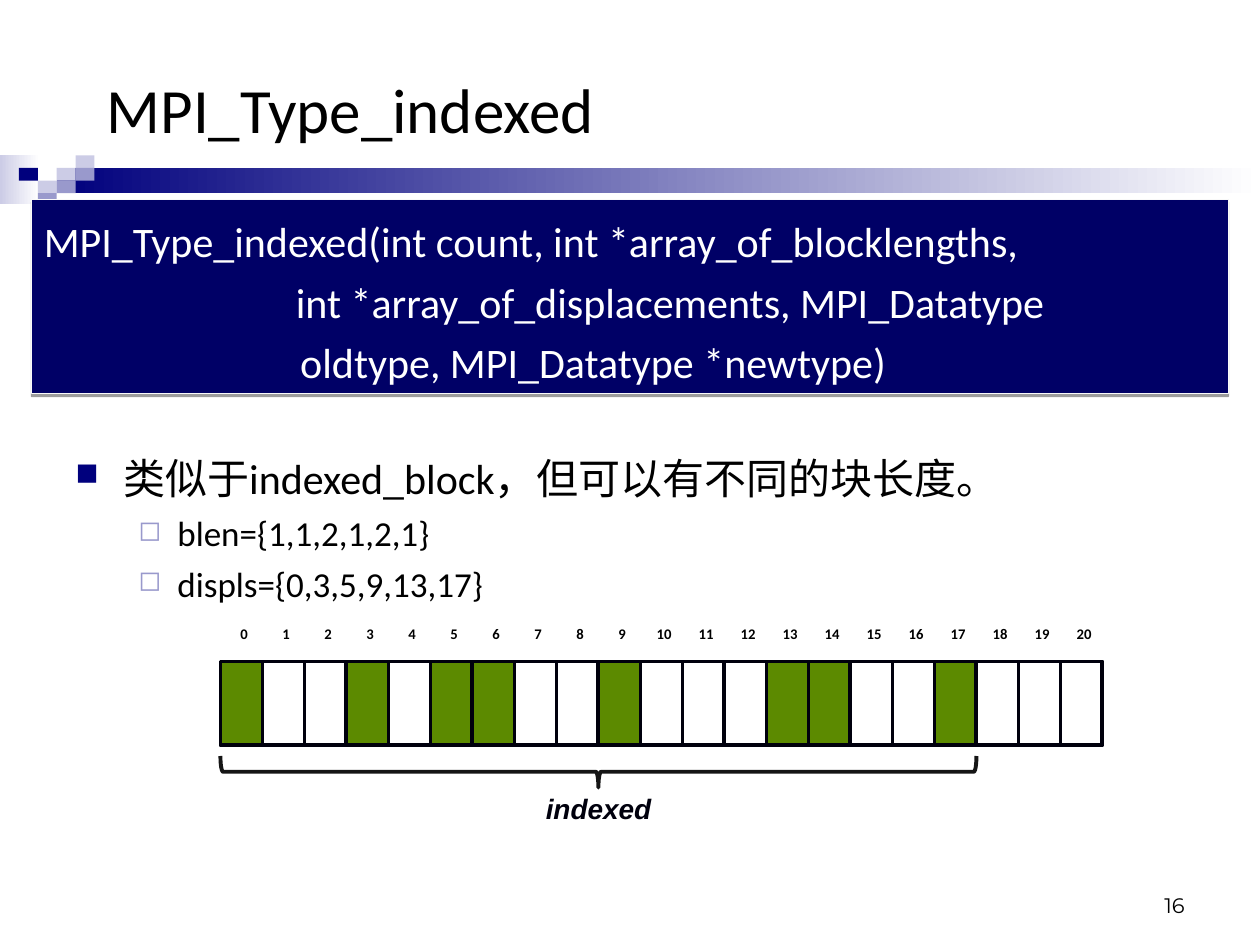
"""Build the MPI_Type_indexed slide on a grid of 120 columns by 90 rows."""
from lxml.etree import SubElement
from pptx import Presentation
from pptx.dml.color import RGBColor
from pptx.enum.shapes import MSO_SHAPE
from pptx.enum.text import MSO_ANCHOR, PP_ALIGN
from pptx.oxml.ns import qn
from pptx.util import Inches, Pt

HUES = {"navy": "00007D", "deep": "000066", "mid": "9999CC", "pale": "CCCCE6", "white": "FFFFFF",
        "mist": "F9F9F9", "black": "000000", "ink": "00000D", "coal": "151515", "green": "5C8A00"}
BLOCKS = [1, 1, 2, 1, 2, 1]
STARTS = [0, 3, 5, 9, 13, 17]
COUNT = 21
LEFT = 21
STEP = 4


def hue(name):
    return RGBColor.from_string(HUES[name])


def put(parent, tag, **attrs):
    return SubElement(parent, qn(tag), {key: str(val) for key, val in attrs.items()})


def write(frame, lines, size=24, face="Calibri", color="black", bold=False, slant=False,
          align=PP_ALIGN.LEFT, anchor=MSO_ANCHOR.TOP, space=None, before=0, marks=None, tabs=0):
    frame.word_wrap = True
    frame.vertical_anchor = anchor
    for i, line in enumerate(lines):
        para = frame.paragraphs[0] if i == 0 else frame.add_paragraph()
        props = para._p.get_or_add_pPr()
        level = size
        if marks:
            char, tint, share, left, hang, level = marks[i]
            props.set("marL", str(Inches(left)))
            props.set("indent", str(-Inches(hang)))
            put(put(props, "a:buClr"), "a:srgbClr", val=HUES[tint])
            put(props, "a:buSzPct", val=share * 1000)
            put(props, "a:buChar", char=char)
        if tabs:
            stops = put(props, "a:tabLst")
            for stop in range(1, tabs + 1):
                put(stops, "a:tab", pos=Inches(stop), algn="l")
        run = para.add_run()
        run.text = line
        font = run.font
        font.size, font.name, font.bold, font.italic = Pt(level), face, bold, slant
        font.color.rgb = hue(color)
        para.alignment = align
        para.space_before = Pt(before if i else 0)
        if space:
            para.line_spacing = space


class Deck:
    """Hold the slide, its grid and the drawing methods."""

    def __init__(self):
        self.file = Presentation()
        self.file.slide_width, self.file.slide_height = Inches(10), Inches(7.5)
        self.slide = self.file.slides.add_slide(self.file.slide_layouts[6])
        self.col = self.file.slide_width / 120
        self.row = self.file.slide_height / 90

    def place(self, x, y, wide, high):
        return round(x * self.col), round(y * self.row), round(wide * self.col), round(high * self.row)

    def shape(self, *spot, kind=MSO_SHAPE.RECTANGLE, fill=None, line=None, weight=2.25):
        item = self.slide.shapes.add_shape(kind, *self.place(*spot))
        item.shadow.inherit = False
        if fill:
            item.fill.solid()
            item.fill.fore_color.rgb = hue(fill)
        else:
            item.fill.background()
        if line:
            item.line.color.rgb = hue(line)
            item.line.width = Pt(weight)
        else:
            item.line.fill.background()
        return item

    def fade(self, *spot, start):
        fill = self.shape(*spot).fill
        fill.gradient()
        fill.gradient_angle = 0
        for stop, name, pos in zip(fill.gradient_stops, (start, "white"), (0, 1)):
            stop.color.rgb = hue(name)
            stop.position = pos

    def panel(self, *spot, lines):
        item = self.shape(*spot, fill="deep", line="mist", weight=0.75)
        shade = put(item._element.spPr.find(qn("a:effectLst")), "a:outerShdw",
                    blurRad=0, dist=Pt(1.6), dir=5400000, rotWithShape=0)
        put(put(shade, "a:srgbClr", val=HUES["black"]), "a:alpha", val=38000)
        write(item.text_frame, lines, color="white", space=1.2, tabs=8)

    def label(self, *spot, lines, **style):
        box = self.slide.shapes.add_textbox(*self.place(*spot))
        write(box.text_frame, lines, **style)

    def cell(self, i, full):
        x = LEFT + STEP * i
        self.shape(x, 63, STEP, 8, fill="green" if full else None, line="ink")
        tag = self.shape(x, 59, 4.5, 3, line="white")
        write(tag.text_frame, [str(i)], size=8.4, bold=True, space=0.8,
              align=PP_ALIGN.CENTER, anchor=MSO_ANCHOR.MIDDLE)

    def brace(self, x, y, wide, high):
        spot = x + (wide - high) / 2, y - (wide - high) / 2, high, wide
        self.shape(*spot, kind=MSO_SHAPE.LEFT_BRACE, line="coal").rotation = 270


def main():
    deck = Deck()
    deck.fade(0, 14.8, 3.75, 4.6, start="pale")
    deck.fade(5.4, 16, 114.6, 2.4, start="navy")
    for col, row, tint in [(3, 1, "pale"), (4, 0, "pale"), (4, 1, "mid"), (2, 2, "pale"),
                           (1, 1, "navy"), (3, 2, "mid"), (2, 3, "mid")]:
        deck.shape(1.8 * col, 14.8 + 1.2 * row, 1.8, 1.2, fill=tint)

    deck.label(9, 5, 101, 10.7, lines=["MPI_Type_indexed"], size=36, anchor=MSO_ANCHOR.MIDDLE)
    sub = ("◻", "mid", 80, 0.81, 0.31, 20)
    deck.label(6, 42.5, 108, 20, before=5, marks=[("■", "navy", 75, 0.38, 0.38, 24), sub, sub],
               lines=["类似于indexed_block，但可以有不同的块长度。",
                      "blen={" + ",".join(map(str, BLOCKS)) + "}",
                      "displs={" + ",".join(map(str, STARTS)) + "}"])
    deck.panel(3, 19, 114, 18.5, lines=[
        "MPI_Type_indexed(int count, int *array_of_blocklengths,",
        "\t\tint *array_of_displacements, MPI_Datatype",
        "                           oldtype, MPI_Datatype *newtype)"])
    deck.label(86, 82, 28, 6, lines=["16"], size=12, face="Montserrat",
               align=PP_ALIGN.RIGHT, anchor=MSO_ANCHOR.BOTTOM)

    full = {start + k for start, size in zip(STARTS, BLOCKS) for k in range(size)}
    for i in range(COUNT):
        deck.cell(i, i in full)
    deck.brace(LEFT, 72, 18 * STEP, 3)
    deck.label(48.75, 74.75, 16.5, 4.5, lines=["indexed"], size=16, face="Arial", color="ink",
               bold=True, slant=True, align=PP_ALIGN.CENTER)
    deck.file.save("out.pptx")


if __name__ == "__main__":
    main()
